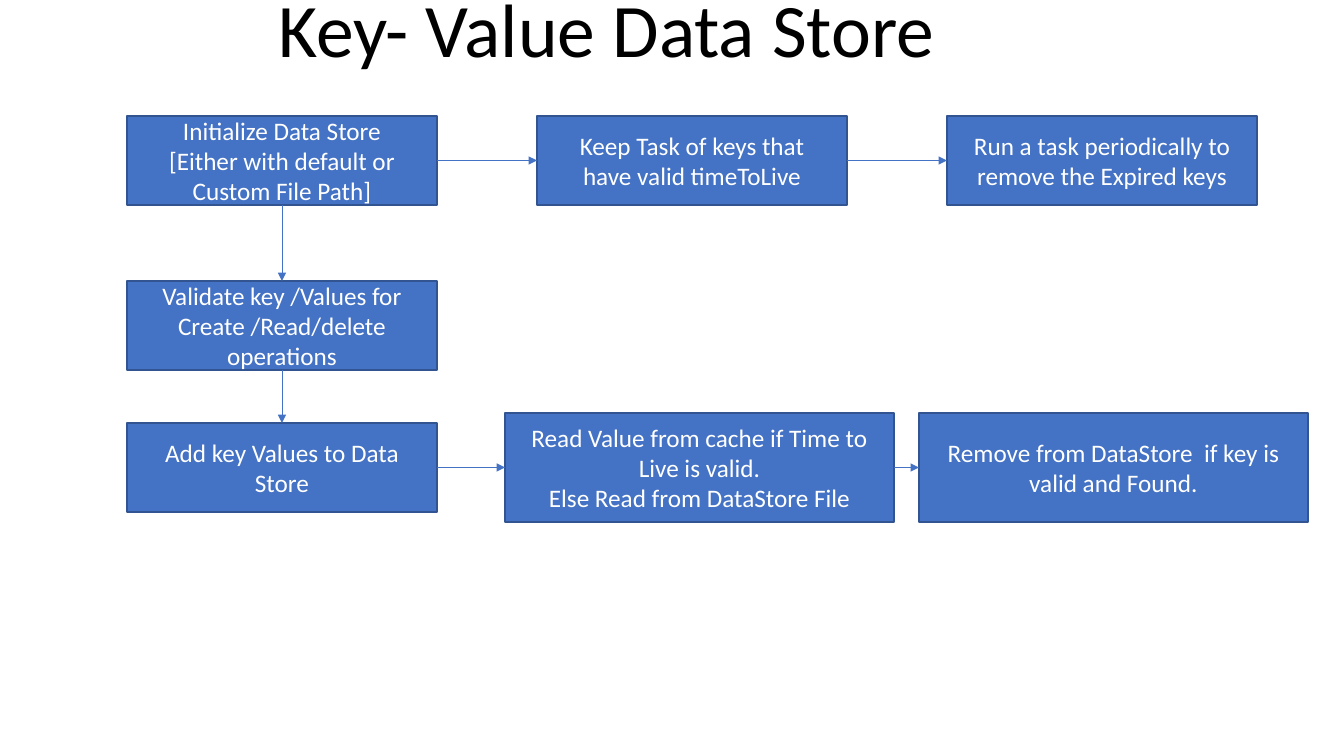
from lxml.etree import SubElement
from pptx import Presentation
from pptx.dml.color import RGBColor
from pptx.enum.shapes import MSO_CONNECTOR, MSO_SHAPE
from pptx.enum.text import MSO_ANCHOR, PP_ALIGN
from pptx.oxml.ns import qn
from pptx.util import Emu, Pt

TITLE = "Key- Value Data Store"
TITLE_AREA = (205, 0, 803, 79)
FONT = "Calibri"
BLUE, DARK_BLUE, WHITE, BLACK = "4472C4", "325491", "FFFFFF", "000000"

SMALL, LARGE = (310, 89), (389, 109)
LEFT = 127
TOP_GAP, BOTTOM_GAP = 100, 25
BOTTOM_LEFT = 505
TOP_ROW, MIDDLE_ROW, BOTTOM_ROW = 116, 281, 423
LARGE_ROW = BOTTOM_ROW - (LARGE[1] - SMALL[1]) // 2

# step: (left, top, size, paragraphs)
STEPS = {
    "initialize": (LEFT, TOP_ROW, SMALL,
                   ["Initialize Data Store", "[Either with default or Custom File Path]"]),
    "keep": (LEFT + SMALL[0] + TOP_GAP, TOP_ROW, SMALL,
             ["Keep Task of keys that", "have valid timeToLive"]),
    "expire": (LEFT + 2 * (SMALL[0] + TOP_GAP), TOP_ROW, SMALL,
               ["Run a task periodically to remove the Expired keys"]),
    "validate": (LEFT, MIDDLE_ROW, SMALL,
                 ["Validate key /Values for Create /Read/delete operations"]),
    "add": (LEFT, BOTTOM_ROW, SMALL, ["Add key Values to Data Store"]),
    "read": (BOTTOM_LEFT, LARGE_ROW, LARGE,
             ["Read Value from cache if Time to Live is valid.",
              "Else Read from DataStore File"]),
    "remove": (BOTTOM_LEFT + LARGE[0] + BOTTOM_GAP, LARGE_ROW, LARGE,
               ["Remove from DataStore  if key is valid and Found."]),
}
# Connection sites of a rectangle: leaving side, arriving side
ACROSS, DOWN = (3, 1), (2, 0)
ARROWS = [
    ("initialize", "keep", ACROSS),
    ("keep", "expire", ACROSS),
    ("initialize", "validate", DOWN),
    ("validate", "add", DOWN),
    ("add", "read", ACROSS),
    ("read", "remove", ACROSS),
]


def px(length):
    return Emu(round(length * 914400 / 100.8))


def color(hex_code):
    return RGBColor.from_string(hex_code)


def write(frame, lines, size, ink, anchor):
    frame.word_wrap = True
    frame.vertical_anchor = anchor
    frame.text = "\n".join(lines)
    for paragraph in frame.paragraphs:
        paragraph.alignment = PP_ALIGN.CENTER
        paragraph.font.name = FONT
        paragraph.font.size = Pt(size)
        paragraph.font.color.rgb = color(ink)


def add_step(slide, left, top, size, lines):
    step = slide.shapes.add_shape(MSO_SHAPE.RECTANGLE, *map(px, (left, top, *size)))
    step.shadow.inherit = False
    step.fill.solid()
    step.fill.fore_color.rgb = color(BLUE)
    step.line.color.rgb = color(DARK_BLUE)
    step.line.width = Pt(1)
    write(step.text_frame, lines, 18, WHITE, MSO_ANCHOR.MIDDLE)
    return step


def add_arrow(slide, start, end, sites):
    arrow = slide.shapes.add_connector(MSO_CONNECTOR.STRAIGHT, 0, 0, 0, 0)
    arrow.begin_connect(start, sites[0])
    arrow.end_connect(end, sites[1])
    arrow.line.color.rgb = color(BLUE)
    arrow.line.width = Pt(0.5)
    SubElement(arrow.line._get_or_add_ln(), qn("a:tailEnd"), type="triangle")
    SubElement(arrow._element.spPr, qn("a:effectLst"))


def main():
    deck = Presentation()
    deck.slide_width, deck.slide_height = px(1344), px(756)
    slide = deck.slides.add_slide(deck.slide_layouts[6])

    title = slide.shapes.add_textbox(*map(px, TITLE_AREA)).text_frame
    write(title, [TITLE], 54, BLACK, MSO_ANCHOR.BOTTOM)
    title.paragraphs[0].line_spacing = 0.9

    steps = {name: add_step(slide, *step) for name, step in STEPS.items()}
    for start, end, sites in ARROWS:
        add_arrow(slide, steps[start], steps[end], sites)

    deck.save("out.pptx")


if __name__ == "__main__":
    main()
